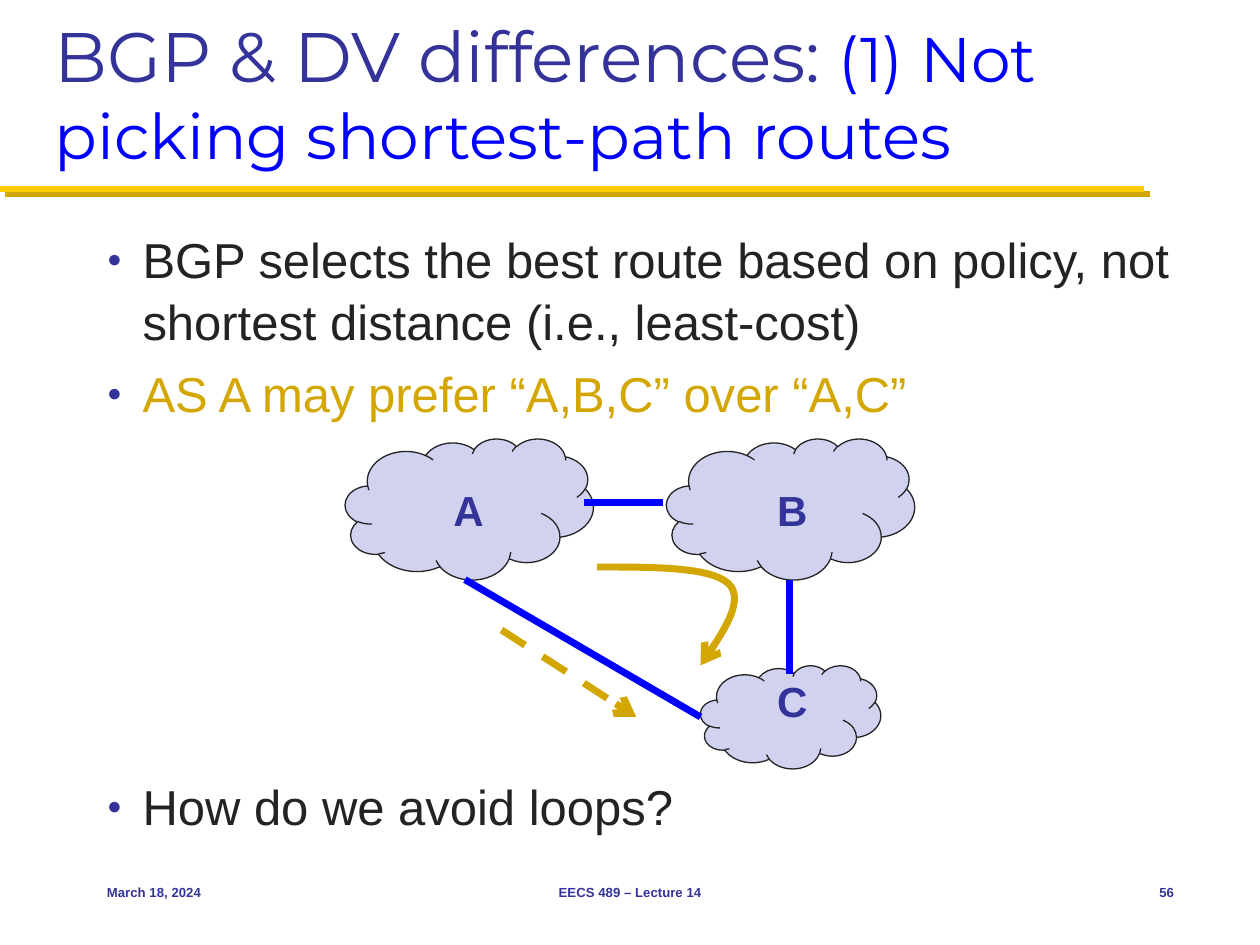
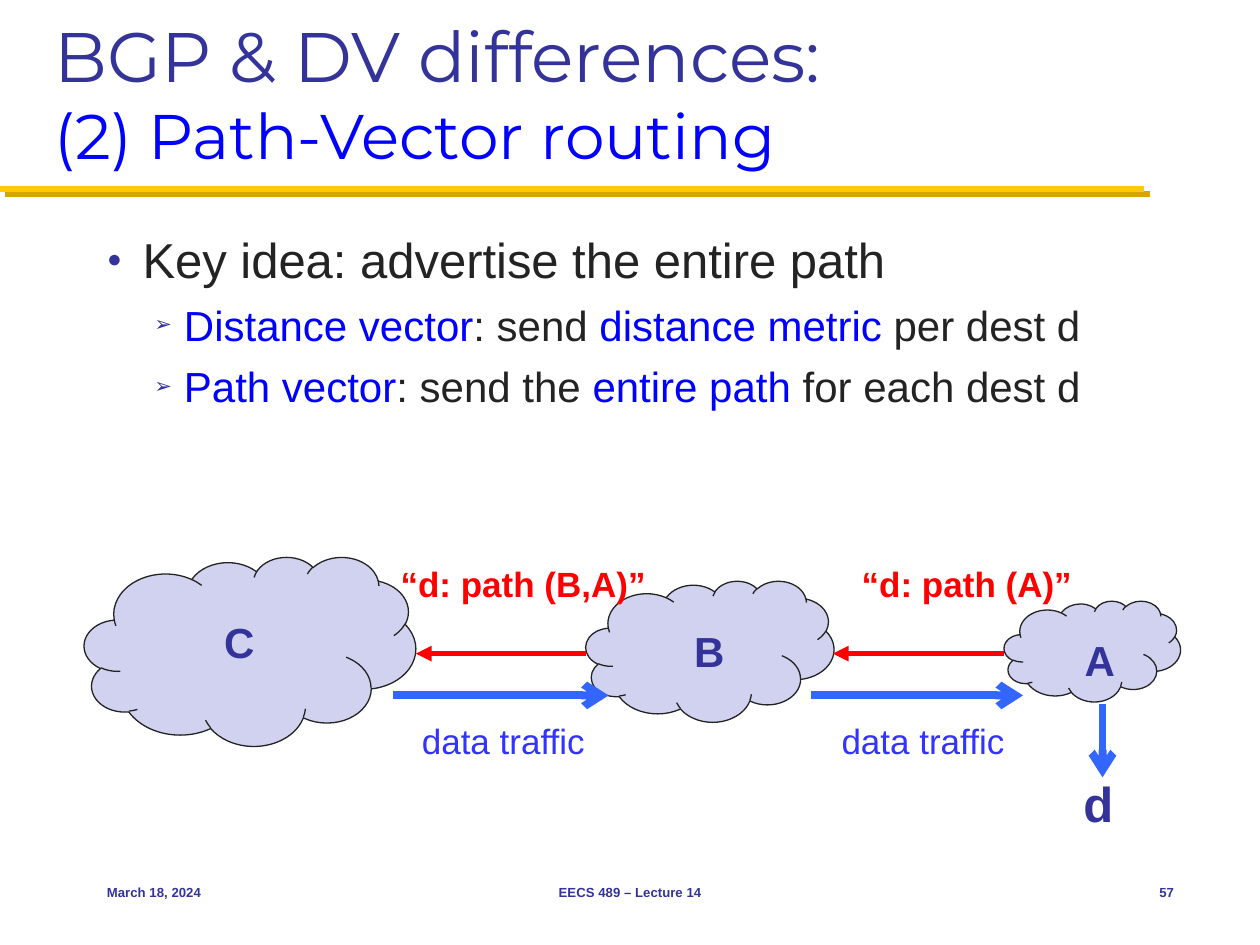
from lxml import etree
from pptx import Presentation
from pptx.dml.color import RGBColor
from pptx.enum.dml import MSO_LINE
from pptx.enum.shapes import MSO_CONNECTOR, MSO_SHAPE
from pptx.enum.text import MSO_ANCHOR, MSO_AUTO_SIZE, PP_ALIGN
from pptx.oxml.ns import qn
from pptx.util import Pt

STRAIGHT, CLOUD, DASH = MSO_CONNECTOR.STRAIGHT, MSO_SHAPE.CLOUD, MSO_LINE.DASH
LEFT, CENTER, RIGHT = PP_ALIGN.LEFT, PP_ALIGN.CENTER, PP_ALIGN.RIGHT
TOP, MIDDLE, BOTTOM = MSO_ANCHOR.TOP, MSO_ANCHOR.MIDDLE, MSO_ANCHOR.BOTTOM
NO_FIT, GROW = MSO_AUTO_SIZE.NONE, MSO_AUTO_SIZE.SHAPE_TO_FIT_TEXT

INDIGO = RGBColor(0x33, 0x33, 0x99)
BLUE = RGBColor(0x00, 0x00, 0xFF)
TRAFFIC_BLUE = RGBColor(0x33, 0x66, 0xFF)
TRAFFIC_TEXT = RGBColor(0x33, 0x33, 0xFF)
RED = RGBColor(0xFF, 0x00, 0x00)
INK = RGBColor(0x23, 0x23, 0x23)
YELLOW = RGBColor(0xFF, 0xCB, 0x05)
GOLD = RGBColor(0xD3, 0xA6, 0x00)
LILAC = RGBColor(0xD1, 0xD1, 0xF0)

HEAD_FONT, BODY_FONT = "Montserrat", "Arial"
LEVELS = [(28, 20.25, -20.25, "●"), (24, 43.9, -16.9, "➢")]
LINE_SPACING = 1.05


def sub(parent, tag, **attrs):
    return etree.SubElement(parent, qn(tag), attrs)


def bezier(p0, p1, p2, p3, steps=16):
    for i in range(1, steps + 1):
        t = i / steps
        u = 1 - t
        yield tuple(u**3 * a + 3 * u * u * t * b + 3 * u * t * t * c + t**3 * d
                    for a, b, c, d in zip(p0, p1, p2, p3))


class Deck:
    def __init__(self):
        self.prs = Presentation()
        self.prs.slide_width, self.prs.slide_height = Pt(720), Pt(540)
        self.s = None

    def slide(self, number, title):
        self.s = self.prs.slides.add_slide(self.prs.slide_layouts[1])
        self.rule()
        self.title(title)
        for text, x, w, align in [("March 18, 2024", 54, 150, LEFT),
                                  ("EECS 489 – Lecture 14", 246, 228, CENTER),
                                  (str(number), 630, 48, RIGHT)]:
            self.text(text, x, 492, w, 36, 7.5, align=align, anchor=MIDDLE, fit=NO_FIT)

    def place(self, sp, x, y, w, h, anchor):
        sp.left, sp.top, sp.width, sp.height = Pt(x), Pt(y), Pt(w), Pt(h)
        tf = sp.text_frame
        tf.auto_size, tf.vertical_anchor, tf.word_wrap = NO_FIT, anchor, True
        return tf

    def run(self, p, text, size, color, font=BODY_FONT, bold=False):
        r = p.add_run()
        r.text = text
        r.font.name, r.font.size, r.font.bold = font, Pt(size), bold
        r.font.color.rgb = color

    def rule(self):
        sp = self.line((0, 108), (654, 108), YELLOW, 3.5)
        effects = sp._element.spPr.find(qn("a:effectLst"))
        shadow = sub(effects, "a:outerShdw", dist=str(Pt(4.2)), dir="2700000",
                     algn="ctr", rotWithShape="0")
        sub(shadow, "a:srgbClr", val=str(GOLD))

    def title(self, lines):
        tf = self.place(self.s.shapes.title, 24, 12, 672, 90, BOTTOM)
        p = tf.paragraphs[0]
        p.alignment = LEFT
        topic, point, broken = lines
        self.run(p, topic, 40, INDIGO, HEAD_FONT)
        if broken:
            p.add_line_break()
        self.run(p, point, 36, BLUE, HEAD_FONT)

    def bullets(self, items):
        tf = self.place(self.s.placeholders[1], 54, 126, 624, 348, TOP)
        for i, (level, runs, gap) in enumerate(items):
            p = tf.add_paragraph() if i else tf.paragraphs[0]
            size, margin, indent, char = LEVELS[level]
            p.level = level
            p.line_spacing = LINE_SPACING
            p.space_before = Pt(gap or size * 0.2)
            pPr = p._p.get_or_add_pPr()
            pPr.set("marL", str(Pt(margin)))
            pPr.set("indent", str(Pt(indent)))
            sub(sub(pPr, "a:buClr"), "a:srgbClr", val=str(INDIGO))
            sub(pPr, "a:buSzPct", val="50000")
            sub(pPr, "a:buChar", char=char)
            for text, color in runs:
                self.run(p, text, size, color)

    def text(self, text, x, y, w, h, size=24, color=INDIGO, bold=True,
             align=LEFT, anchor=TOP, fit=GROW):
        sp = self.s.shapes.add_textbox(0, 0, 0, 0)
        tf = self.place(sp, x, y, w, h, anchor)
        tf.word_wrap, tf.auto_size = False, fit
        p = tf.paragraphs[0]
        p.alignment = align
        self.run(p, text, size, color, bold=bold)

    def cloud(self, x, y, w, h):
        sp = self.s.shapes.add_shape(CLOUD, Pt(x), Pt(y), Pt(w), Pt(h))
        sp.shadow.inherit = False
        sp.fill.solid()
        sp.fill.fore_color.rgb = LILAC
        sp.line.color.rgb, sp.line.width = INK, Pt(0.75)

    def stroke(self, sp, color, width, arrow):
        sp.line.color.rgb, sp.line.width = color, Pt(width)
        if arrow:
            sub(sp.line._get_or_add_ln(), "a:tailEnd", type=arrow)

    def line(self, start, end, color, width, arrow=None, dash=None):
        sp = self.s.shapes.add_connector(STRAIGHT, *map(Pt, start + end))
        if dash:
            sp.line.dash_style = dash
        self.stroke(sp, color, width, arrow)
        sub(sp._element.spPr, "a:effectLst")
        return sp

    def curve(self, start, segments, color, width, arrow):
        points = [start]
        for segment in segments:
            points += bezier(points[-1], *segment)
        points = [(Pt(x), Pt(y)) for x, y in points]
        builder = self.s.shapes.build_freeform(*points[0])
        builder.add_line_segments(points[1:], close=False)
        sp = builder.convert_to_shape()
        sp.shadow.inherit = False
        sp.fill.background()
        self.stroke(sp, color, width, arrow)


def policy_slide(d):
    d.slide(56, ("BGP & DV differences: ", "(1) Not picking shortest-path routes", False))
    d.bullets([
        (0, [("BGP selects the best route based on policy, not shortest distance "
              "(i.e., least-cost)", INK)], None),
        (0, [("AS A may prefer “A,B,C” over “A,C”", GOLD)], None),
        (0, [("How do we avoid loops?", INK)], 201),
    ])
    d.curve((341.3, 324), [((373.7, 324), (406, 324), (416.2, 333.4)),
                           ((426.2, 342.7), (413.3, 361.4), (400.3, 380.2))],
            GOLD, 4, "arrow")
    d.line((286.6, 360), (363.6, 409.7), GOLD, 4, "arrow", DASH)
    d.cloud(400.3, 380.2, 103, 59)
    for x in (380.9, 197.3):
        d.cloud(x, 250.6, 141.8, 80.6)
    for start, end in [((334, 287.3), (378.7, 287.3)),
                       ((265.7, 331.2), (400.3, 409.7)),
                       ((451.4, 331.2), (451.4, 385.2))]:
        d.line(start, end, BLUE, 4)
    for name, x, y in [("A", 252, 273.6), ("B", 437, 273.6), ("C", 437, 382.3)]:
        d.text(name, x, y, 32, 36)


def path_vector_slide(d):
    d.slide(57, ("BGP & DV differences: ", "(2) Path-Vector routing", True))
    d.bullets([
        (0, [("Key idea: advertise the entire path", INK)], None),
        (1, [("Distance vector", BLUE), (": send ", INK),
             ("distance metric", BLUE), (" per dest d", INK)], None),
        (1, [("Path vector", BLUE), (": send the ", INK),
             ("entire path", BLUE), (" for each dest d", INK)], None),
    ])
    for name, x, y, w, h, name_x, name_y in [
            ("C", 48.2, 318.2, 189.4, 108, 121, 348.5),
            ("B", 334.8, 331.9, 141.8, 80.6, 389.5, 354.2),
            ("A", 573.8, 343.4, 100.8, 57.6, 612.7, 359.3)]:
        d.cloud(x, y, w, h)
        d.text(name, name_x, name_y, 32, 36)
    for start, end in [((463.7, 397.4), (584.6, 397.4)),
                       ((224.6, 397.4), (347.8, 397.4)),
                       ((630, 402.5), (630, 444.2))]:
        d.line(start, end, TRAFFIC_BLUE, 4.5, "arrow")
    d.text("d", 612, 438.5, 32, 41, 28)
    for advert, x, w, start, end in [("“d: path (B,A)”", 221.8, 155.5, 334.8, 237.6),
                                     ("“d: path (A)”", 485.3, 135.4, 573.8, 475.9)]:
        d.text(advert, x, 318, w, 31.7, 20, RED)
        d.line((start, 373.5), (end, 373.5), RED, 3, "triangle")
    for x in (234, 473.8):
        d.text("data traffic", x, 407.5, 108, 31.7, 20, TRAFFIC_TEXT, bold=False)


def main():
    d = Deck()
    policy_slide(d)
    path_vector_slide(d)
    d.prs.save("out.pptx")


if __name__ == "__main__":
    main()
